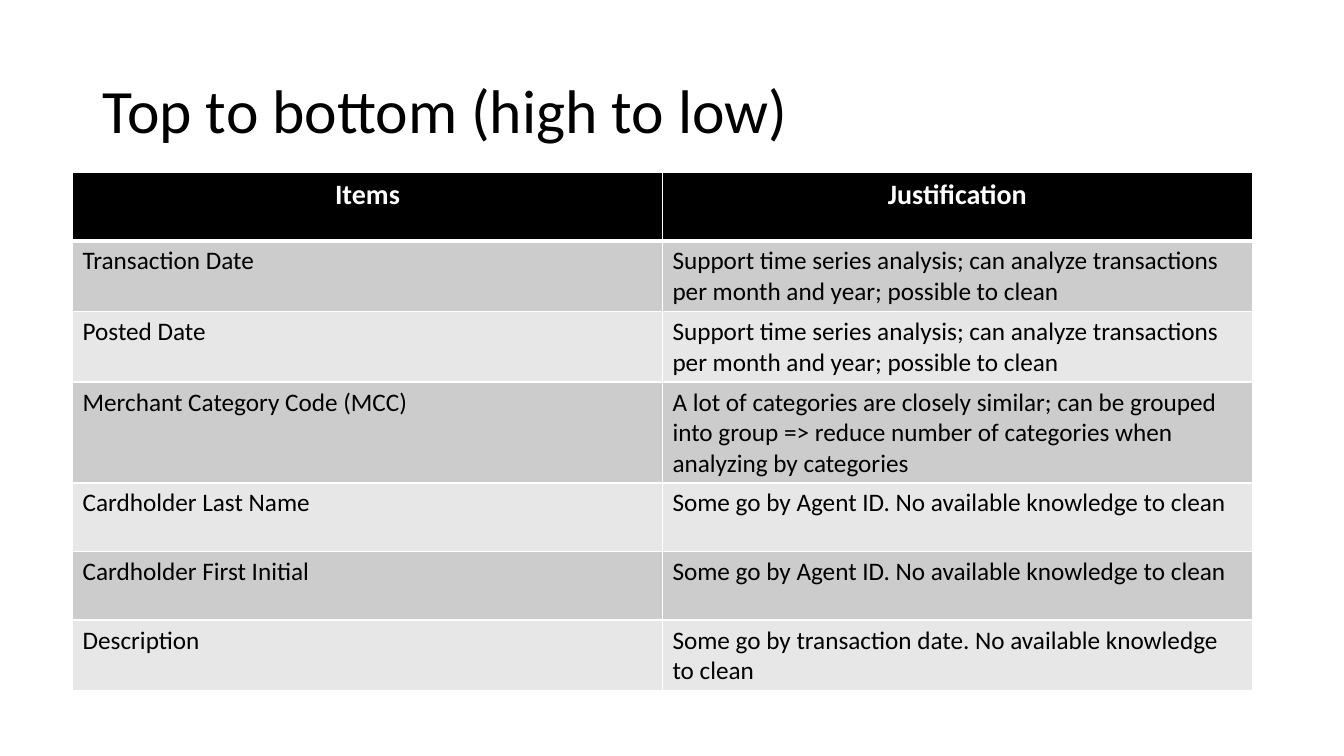
from lxml.etree import SubElement
from pptx import Presentation
from pptx.dml.color import RGBColor
from pptx.enum.text import MSO_ANCHOR as Anchor, PP_ALIGN as Align
from pptx.oxml.ns import qn
from pptx.util import Inches, Pt

FONT = "Calibri"
BLACK, WHITE = "000000", "FFFFFF"
BANDS = ("CCCCCC", "E7E7E7")
DATE_REASON = ("Support time series analysis; can analyze transactions "
               "per month and year; possible to clean")
NAME_REASON = "Some go by Agent ID. No available knowledge to clean"
ROWS = [
    ("Items", "Justification"),
    ("Transaction Date", DATE_REASON),
    ("Posted Date", DATE_REASON),
    ("Merchant Category Code (MCC)",
     "A lot of categories are closely similar; can be grouped into group => "
     "reduce number of categories when analyzing by categories"),
    ("Cardholder Last Name", NAME_REASON),
    ("Cardholder First Initial", NAME_REASON),
    ("Description",
     "Some go by transaction date. No available knowledge to clean"),
]


def color(code):
    """Turn a hex string into a colour."""
    return RGBColor.from_string(code)


def add_span(para, text, size, code, bold=False):
    """Append one formatted run to a paragraph."""
    span = para.add_run()
    span.text = text
    span.font.name = FONT
    span.font.size = Pt(size)
    span.font.bold = bold
    span.font.color.rgb = color(code)


def add_title(page, text):
    """Place the slide title."""
    box = page.shapes.add_textbox(Inches(0.92), Inches(0.4), Inches(11.5), Inches(1.45))
    frame = box.text_frame
    frame.word_wrap = True
    frame.vertical_anchor = Anchor.MIDDLE
    para = frame.paragraphs[0]
    para.line_spacing = 0.9
    add_span(para, text, 44, BLACK)


def set_borders(cell, top, bottom):
    """Draw white borders, with top and bottom widths in points."""
    properties = cell._tc.get_or_add_tcPr()
    widths = {"a:lnL": 1, "a:lnR": 1, "a:lnT": top, "a:lnB": bottom}
    for tag, width in widths.items():
        line = SubElement(properties, qn(tag), w=str(Pt(width)))
        fill = SubElement(line, qn("a:solidFill"))
        SubElement(fill, qn("a:srgbClr"), val=WHITE)


def fill_cell(cell, text, row):
    """Write and style a cell according to its row number."""
    header = row == 0
    set_borders(cell, top=3 if row == 1 else 1, bottom=3 if header else 1)
    cell.fill.solid()
    cell.fill.fore_color.rgb = color(BLACK if header else BANDS[(row - 1) % 2])
    para = cell.text_frame.paragraphs[0]
    if header:
        para.alignment = Align.CENTER
        add_span(para, text, 20, WHITE, bold=True)
    else:
        add_span(para, text, 18, BLACK)


def add_item_table(page, rows):
    """Add the table of items and their justification."""
    height = Inches(0.68)
    table = page.shapes.add_table(len(rows), 2, Inches(0.72), Inches(1.71),
                                  Inches(11.7), height * len(rows)).table
    for row, texts in enumerate(rows):
        table.rows[row].height = height
        for column, text in enumerate(texts):
            fill_cell(table.cell(row, column), text, row)


def main():
    """Build and save the slide."""
    deck = Presentation()
    deck.slide_width, deck.slide_height = Inches(13.33), Inches(7.5)
    page = deck.slides.add_slide(deck.slide_layouts[6])
    add_title(page, "Top to bottom (high to low)")
    add_item_table(page, ROWS)
    deck.save("out.pptx")


if __name__ == "__main__":
    main()
